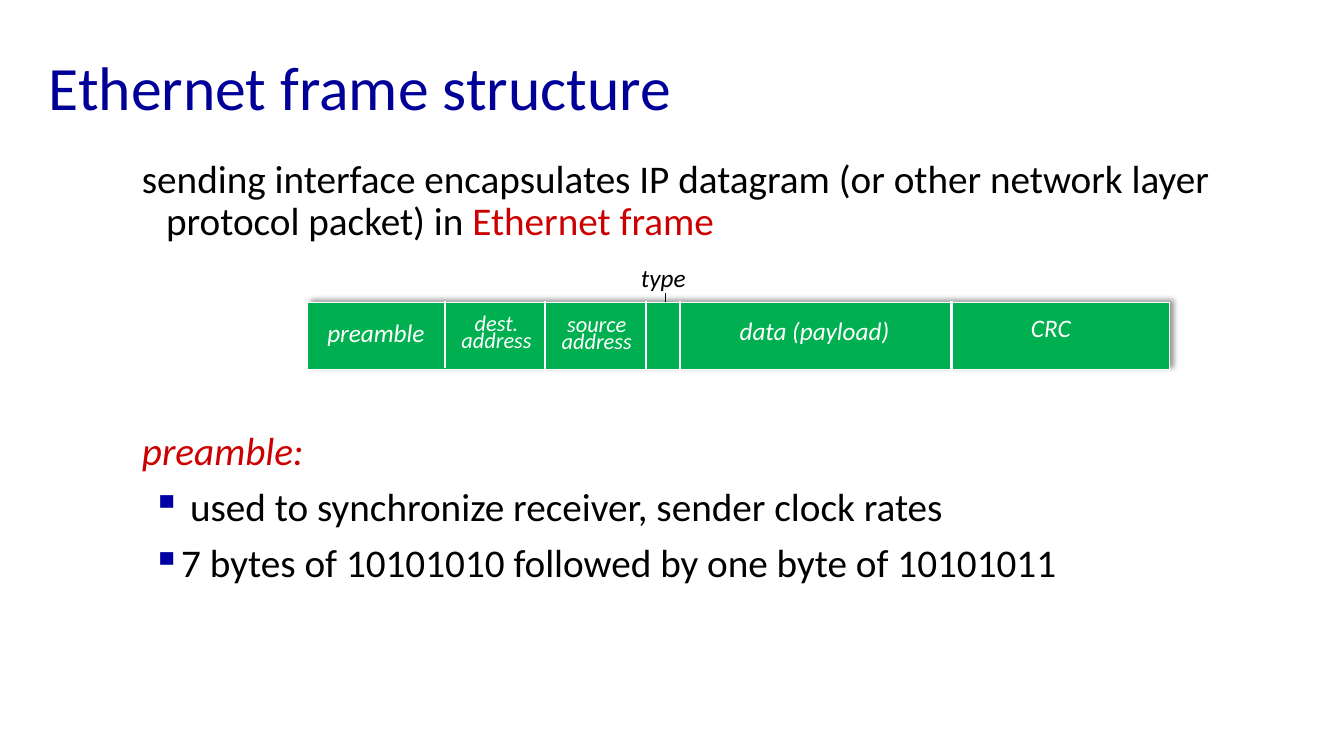
from dataclasses import dataclass

from lxml.etree import SubElement
from pptx import Presentation
from pptx.dml.color import RGBColor
from pptx.enum.shapes import MSO_CONNECTOR, MSO_SHAPE
from pptx.enum.text import MSO_ANCHOR, MSO_AUTO_SIZE, PP_ALIGN
from pptx.oxml.ns import qn
from pptx.shapes.connector import Connector
from pptx.slide import Slide
from pptx.text.text import TextFrame
from pptx.util import Inches, Length, Pt

SLIDE_WIDTH, SLIDE_HEIGHT = Inches(13.333), Inches(7.5)
FONT = "Calibri"
COLORS = {
    "title": "000099",
    "text": "000000",
    "accent": "CC0000",
    "bullet": "0000A3",
    "frame": "00B050",
    "white": "FFFFFF",
}


@dataclass(frozen=True)
class Box:
    """Left, top, width and height in percent of the slide."""
    left: float
    top: float
    width: float
    height: float


@dataclass(frozen=True)
class Divider:
    x: float
    bottom: float


@dataclass(frozen=True)
class Label:
    lines: tuple[str, ...]
    box: Box
    size: int = 18


@dataclass(frozen=True)
class BodyLine:
    runs: tuple[tuple[str, str], ...]
    bulleted: bool = False
    italic: bool = False


FRAME = Box(22.88, 40, 64.12, 8.93)
DIVIDER_TOP = 39.87
DIVIDERS = (
    Divider(33.08, 48.7),
    Divider(40.58, 49.3),
    Divider(48.08, 48.8),
    Divider(50.62, 49.2),
    Divider(70.8, 50),
)
FIELD_LABELS = (
    Label(("dest.", "address"), Box(32.6, 41.6, 8.7, 5.4), 16),
    Label(("source", "address"), Box(40.05, 41.73, 8.7, 5.4), 16),
    Label(("data (payload)",), Box(53.55, 42.8, 14.1, 3.5)),
    Label(("CRC",), Box(73.8, 42.5, 8.78, 3.5)),
    Label(("preamble",), Box(22.5, 43.1, 10.95, 3.5)),
)
INTRODUCTION = (
    BodyLine((
        ("sending interface encapsulates IP datagram (or other network layer protocol packet) in ", "text"),
        ("Ethernet frame", "accent"),
    )),
)
PREAMBLE = (
    BodyLine((("preamble:", "accent"),), italic=True),
    BodyLine(((" used to synchronize receiver, sender clock rates", "text"),), bulleted=True),
    BodyLine((("7 bytes of 10101010 followed by one byte of 10101011", "text"),), bulleted=True),
)


def across(percent: float) -> Length:
    return Length(round(SLIDE_WIDTH * percent / 100))


def down(percent: float) -> Length:
    return Length(round(SLIDE_HEIGHT * percent / 100))


def place(box: Box) -> tuple[Length, Length, Length, Length]:
    return across(box.left), down(box.top), across(box.width), down(box.height)


def color(name: str) -> RGBColor:
    return RGBColor.from_string(COLORS[name])


def style(font, size: int, color_name: str, italic: bool = False) -> None:
    font.name = FONT
    font.size = Pt(size)
    font.italic = italic
    font.color.rgb = color(color_name)


def add_text_frame(slide: Slide, box: Box) -> TextFrame:
    frame = slide.shapes.add_textbox(*place(box)).text_frame
    frame.word_wrap = True
    return frame


def add_title(slide: Slide, text: str, box: Box) -> None:
    frame = add_text_frame(slide, box)
    frame.vertical_anchor = MSO_ANCHOR.MIDDLE
    paragraph = frame.paragraphs[0]
    paragraph.text = text
    paragraph.line_spacing = 0.9
    style(paragraph.font, 44, "title")


def add_body(slide: Slide, lines: tuple[BodyLine, ...], box: Box) -> None:
    frame = add_text_frame(slide, box)
    for index, line in enumerate(lines):
        paragraph = frame.add_paragraph() if index else frame.paragraphs[0]
        paragraph.line_spacing = 0.9
        paragraph.space_before = Pt(10)
        margin, indent = (0.51, -0.26) if line.bulleted else (0.39, -0.24)
        properties = paragraph._p.get_or_add_pPr()
        properties.set("marL", str(Inches(margin)))
        properties.set("indent", str(Inches(indent)))
        if line.bulleted:
            bullet_color = SubElement(properties, qn("a:buClr"))
            SubElement(bullet_color, qn("a:srgbClr"), val=COLORS["bullet"])
            SubElement(properties, qn("a:buChar"), char="▪")
        style(paragraph.font, 28, line.runs[0][1], line.italic)
        for text, color_name in line.runs:
            run = paragraph.add_run()
            run.text = text
            if color_name != line.runs[0][1]:
                run.font.color.rgb = color(color_name)


def add_label(slide: Slide, label: Label, color_name: str = "white", tight: bool = True) -> None:
    """Tight labels are centred with 12-point line spacing."""
    frame = add_text_frame(slide, label.box)
    frame.auto_size = MSO_AUTO_SIZE.SHAPE_TO_FIT_TEXT
    frame.text = "\n".join(label.lines)
    for paragraph in frame.paragraphs:
        if tight:
            paragraph.alignment = PP_ALIGN.CENTER
            paragraph.line_spacing = Pt(12)
        style(paragraph.font, label.size, color_name, italic=True)


def add_vertical_line(slide: Slide, x: float, top: float, bottom: float,
                      color_name: str, width: float) -> Connector:
    line = slide.shapes.add_connector(
        MSO_CONNECTOR.STRAIGHT, across(x), down(top), across(x), down(bottom))
    line.line.color.rgb = color(color_name)
    line.line.width = Pt(width)
    SubElement(line._element.spPr, qn("a:effectLst"))
    return line


def add_frame_bar(slide: Slide) -> None:
    bar = slide.shapes.add_shape(MSO_SHAPE.RECTANGLE, *place(FRAME))
    bar.fill.solid()
    bar.fill.fore_color.rgb = color("frame")
    bar.line.color.rgb = color("white")
    bar.line.width = Pt(0.75)
    bar.shadow.inherit = False
    effects = bar._element.spPr.find(qn("a:effectLst"))
    shadow = SubElement(effects, qn("a:outerShdw"), blurRad=str(Pt(4)), dist=str(Pt(3)),
                        dir=str(315 * 60000), algn="bl", rotWithShape="0")
    shadow_color = SubElement(shadow, qn("a:srgbClr"), val=COLORS["text"])
    SubElement(shadow_color, qn("a:alpha"), val="40000")


def main() -> None:
    presentation = Presentation()
    presentation.slide_width, presentation.slide_height = SLIDE_WIDTH, SLIDE_HEIGHT
    slide = presentation.slides.add_slide(presentation.slide_layouts[6])

    add_title(slide, "Ethernet frame structure", Box(2.9, 5.5, 86.25, 13))
    add_body(slide, INTRODUCTION, Box(8.7, 20.4, 91.3, 32.5))
    add_vertical_line(slide, 49.5, 38.8, 42.1, "text", 0.75)
    add_frame_bar(slide)
    for divider in DIVIDERS:
        add_vertical_line(slide, divider.x, DIVIDER_TOP, divider.bottom, "white", 1.5)
    for label in FIELD_LABELS:
        add_label(slide, label)
    add_label(slide, Label(("type",), Box(46.95, 34, 7.88, 4.8)), "text", tight=False)
    add_body(slide, PREAMBLE, Box(8.7, 56.4, 91.3, 63.3))
    presentation.save("out.pptx")


if __name__ == "__main__":
    main()
